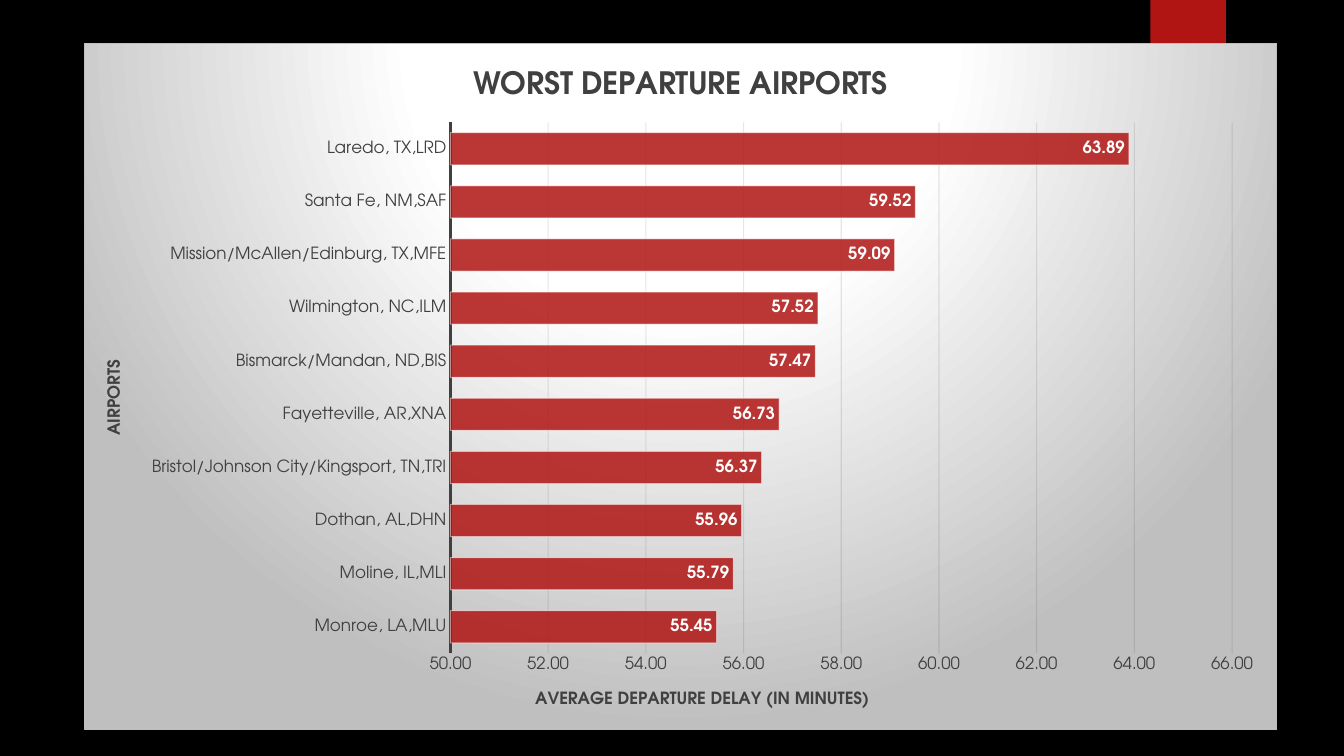
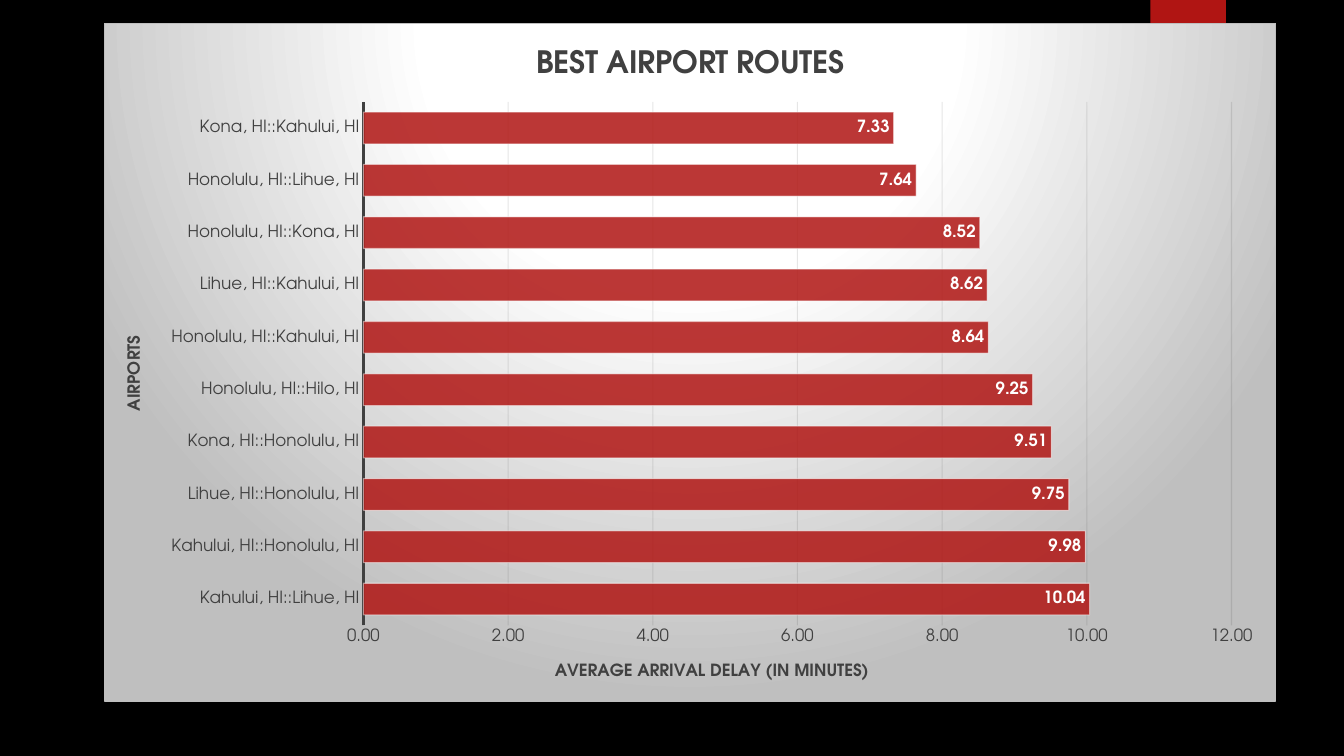
from dataclasses import dataclass

import lxml.etree
import pptx
import pptx.chart.data
import pptx.dml.color
import pptx.enum.chart
import pptx.enum.shapes
import pptx.oxml
import pptx.oxml.ns
import pptx.util

Inches = pptx.util.Inches
Pt = pptx.util.Pt
qn = pptx.oxml.ns.qn
NAMESPACES = pptx.oxml.ns.nsdecls("a", "c")


@dataclass(frozen=True)
class Theme:
    font: str = "TeX Gyre Adventor"
    background: str = "000000"
    accent: str = "B01513"
    text: str = "404040"
    light: str = "FFFFFF"
    panel_edge: str = "BFBFBF"
    grid: str = "0D0D0D"
    title_size: int = 22
    label_size: int = 12
    base_size: int = 10


def rgb(value):
    return pptx.dml.color.RGBColor.from_string(value)


def set_alpha(parent, percent):
    """Make the solid fill directly below parent partly transparent."""
    color = parent.find(qn("a:solidFill")).find(qn("a:srgbClr"))
    lxml.etree.SubElement(color, qn("a:alpha")).set("val", str(percent * 1000))


def style_line(line, color, width, alpha=100):
    line.color.rgb = rgb(color)
    line.width = Pt(width)
    if alpha < 100:
        set_alpha(line.fill._xPr, alpha)


class Deck:
    def __init__(self, theme):
        self.theme = theme
        self.presentation = pptx.Presentation()
        self.presentation.slide_width = Inches(13.33)
        self.presentation.slide_height = Inches(7.5)
        fill = self.presentation.slide_master.background.fill
        fill.solid()
        fill.fore_color.rgb = rgb(theme.background)
        self.slide = None

    def add_slide(self):
        self.slide = self.presentation.slides.add_slide(self.presentation.slide_layouts[6])
        self.add_ribbon()

    def add_ribbon(self):
        ribbon = self.slide.shapes.add_shape(
            pptx.enum.shapes.MSO_SHAPE.RECTANGLE,
            Inches(11.41), Inches(0), Inches(0.75), Inches(1.25))
        ribbon.fill.solid()
        ribbon.fill.fore_color.rgb = rgb(self.theme.accent)
        ribbon.line.fill.background()
        ribbon.shadow.inherit = False
        effects = ribbon._element.spPr.find(qn("a:effectLst"))
        effects.append(pptx.oxml.parse_xml(
            f'<a:outerShdw {NAMESPACES} blurRad="{Pt(3)}" dist="{Pt(2)}" dir="5400000">'
            '<a:srgbClr val="000000"><a:alpha val="45000"/></a:srgbClr></a:outerShdw>'))

    def style_font(self, font, size, color, bold=False):
        font.name = self.theme.font
        font.size = Pt(size)
        font.bold = bold
        font.color.rgb = rgb(color)

    def write_text(self, text_frame, text, **text_format):
        run = text_frame.paragraphs[0].add_run()
        run.text = text
        self.style_font(run.font, **text_format)

    def add_bar_chart(self, title, value_title, values, scale, left, top, width, height):
        """Draw ranked bars; values run from bottom to top, scale is (minimum, maximum)."""
        theme = self.theme
        data = pptx.chart.data.CategoryChartData(number_format="0.00")
        data.categories = list(values)
        data.add_series("Series 1", list(values.values()))
        chart = self.slide.shapes.add_chart(
            pptx.enum.chart.XL_CHART_TYPE.BAR_CLUSTERED,
            Inches(left), Inches(top), Inches(width), Inches(height), data).chart
        chart.has_legend = False
        self.style_font(chart.font, theme.base_size, theme.light)
        self.write_text(chart.chart_title.text_frame, title,
                        size=theme.title_size, color=theme.text, bold=True)
        self.style_panel(chart)
        self.style_bars(chart.plots[0])
        self.style_axis(chart.category_axis, "AIRPORTS", rotation=-90)
        style_line(chart.category_axis.format.line, theme.text, 1.5)
        self.style_axis(chart.value_axis, value_title)
        self.style_value_axis(chart.value_axis, scale)

    def style_panel(self, chart):
        """Give the chart area its spotlight gradient and thin border."""
        theme = self.theme
        stops = "".join(
            f'<a:gs pos="{position * 1000}"><a:srgbClr val="{color}"/></a:gs>'
            for position, color in ((0, theme.light), (39, theme.light), (100, theme.panel_edge)))
        panel = pptx.oxml.parse_xml(
            f'<c:spPr {NAMESPACES}><a:gradFill><a:gsLst>{stops}</a:gsLst>'
            '<a:path path="circle">'
            '<a:fillToRect l="50000" t="-80000" r="50000" b="180000"/></a:path></a:gradFill>'
            f'<a:ln w="{Pt(0.75)}"><a:solidFill><a:srgbClr val="{theme.panel_edge}"/>'
            '</a:solidFill></a:ln></c:spPr>')
        chart._chartSpace.find(qn("c:chart")).addnext(panel)

    def style_bars(self, plot):
        theme = self.theme
        plot.gap_width = 65
        plot.vary_by_categories = False
        bars = plot.series[0].format
        bars.fill.solid()
        bars.fill.fore_color.rgb = rgb(theme.accent)
        set_alpha(bars.fill._xPr, 85)
        style_line(bars.line, theme.light, 0.75, alpha=50)
        plot.has_data_labels = True
        labels = plot.data_labels
        labels.show_value = True
        labels.position = pptx.enum.chart.XL_LABEL_POSITION.INSIDE_END
        labels.number_format = "0.00"
        labels.number_format_is_linked = False
        self.style_font(labels.font, theme.label_size, theme.light, bold=True)

    def style_axis(self, axis, title, rotation=0):
        theme = self.theme
        no_tick = pptx.enum.chart.XL_TICK_MARK.NONE
        axis.major_tick_mark = no_tick
        axis.minor_tick_mark = no_tick
        self.style_font(axis.tick_labels.font, theme.label_size, theme.text)
        text_frame = axis.axis_title.text_frame
        self.write_text(text_frame, title, size=theme.label_size, color=theme.text, bold=True)
        body = text_frame._txBody.find(qn("a:bodyPr"))
        body.set("rot", str(rotation * 60000))
        body.set("vert", "horz")

    def style_value_axis(self, axis, scale):
        axis.minimum_scale, axis.maximum_scale = scale
        axis.major_unit = 2
        axis.tick_labels.number_format = "0.00"
        axis.tick_labels.number_format_is_linked = False
        axis.format.line.fill.background()
        axis.has_major_gridlines = True
        style_line(axis.major_gridlines.format.line, self.theme.grid, 0.75, alpha=10)


DEPARTURE_DELAYS = {
    "Monroe, LA,MLU": 55.45,
    "Moline, IL,MLI": 55.79,
    "Dothan, AL,DHN": 55.96,
    "Bristol/Johnson City/Kingsport, TN,TRI": 56.37,
    "Fayetteville, AR,XNA": 56.73,
    "Bismarck/Mandan, ND,BIS": 57.47,
    "Wilmington, NC,ILM": 57.52,
    "Mission/McAllen/Edinburg, TX,MFE": 59.09,
    "Santa Fe, NM,SAF": 59.52,
    "Laredo, TX,LRD": 63.89,
}

ROUTE_DELAYS = {
    "Kahului, HI::Lihue, HI": 10.04,
    "Kahului, HI::Honolulu, HI": 9.98,
    "Lihue, HI::Honolulu, HI": 9.75,
    "Kona, HI::Honolulu, HI": 9.51,
    "Honolulu, HI::Hilo, HI": 9.25,
    "Honolulu, HI::Kahului, HI": 8.64,
    "Lihue, HI::Kahului, HI": 8.62,
    "Honolulu, HI::Kona, HI": 8.52,
    "Honolulu, HI::Lihue, HI": 7.64,
    "Kona, HI::Kahului, HI": 7.33,
}


def main():
    deck = Deck(Theme())
    deck.add_slide()
    deck.add_bar_chart(
        "WORST DEPARTURE AIRPORTS", "AVERAGE DEPARTURE DELAY (IN MINUTES)",
        DEPARTURE_DELAYS, scale=(50, 66), left=0.83, top=0.43, width=11.84, height=6.81)
    deck.add_slide()
    deck.add_bar_chart(
        "BEST AIRPORT ROUTES", "AVERAGE ARRIVAL DELAY (IN MINUTES)",
        ROUTE_DELAYS, scale=(0, 12), left=1.03, top=0.23, width=11.63, height=6.73)
    deck.presentation.save("out.pptx")


if __name__ == "__main__":
    main()
